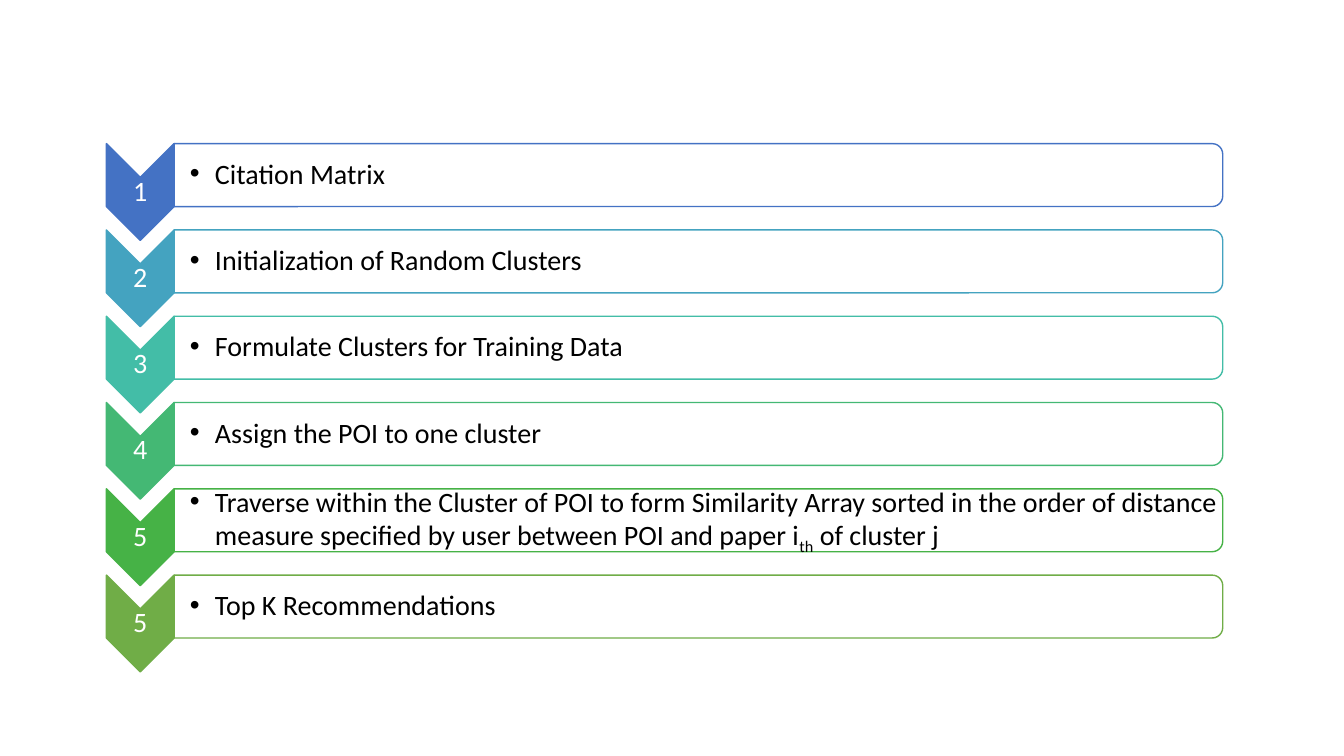
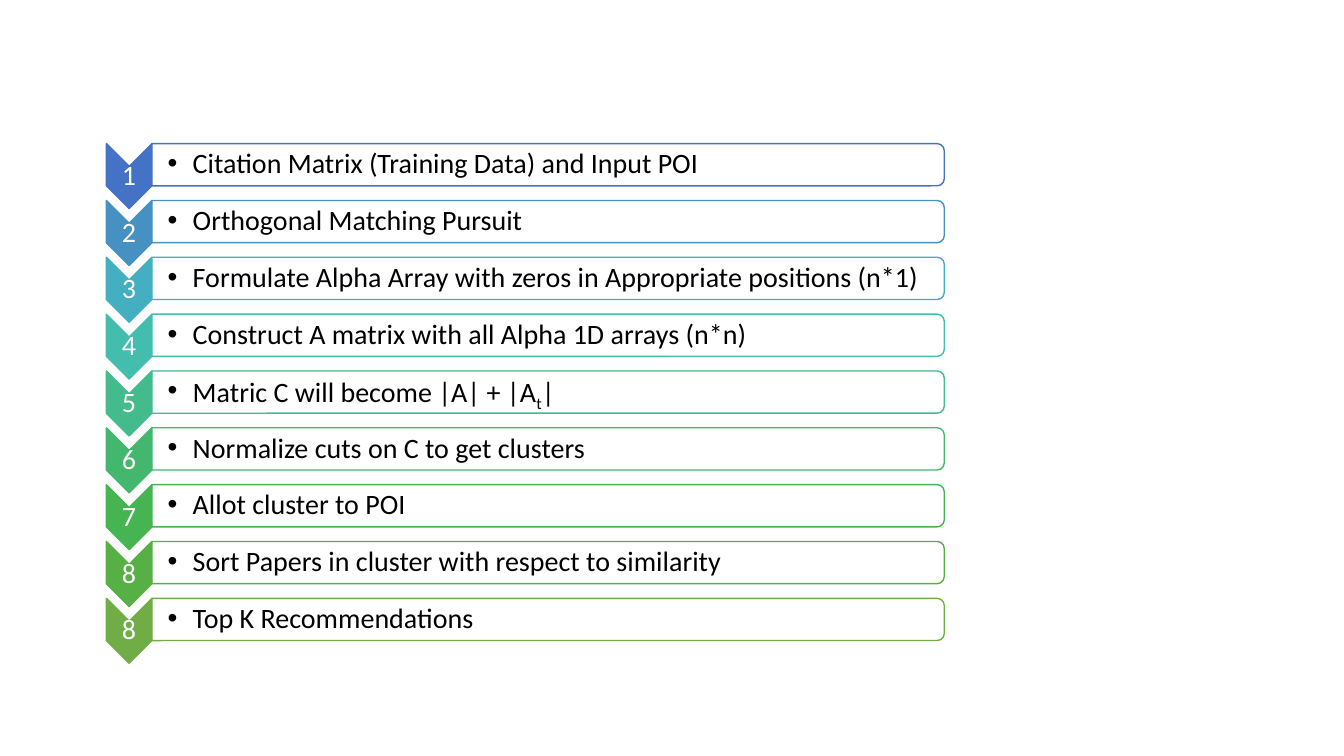
"""Build two slides of numbered chevron steps."""
import pptx
import pptx.util
import pptx.dml.color
import pptx.enum.shapes
import pptx.enum.text
import pptx.oxml
import pptx.oxml.ns

Pt = pptx.util.Pt
RGB = pptx.dml.color.RGBColor
SHAPE = pptx.enum.shapes.MSO_SHAPE
ALIGN = pptx.enum.text.PP_ALIGN

WHITE = RGB(0xFF, 0xFF, 0xFF)
BLACK = RGB(0x00, 0x00, 0x00)
BLUE = RGB(0x44, 0x72, 0xC4)
GREEN = RGB(0x70, 0xAD, 0x47)
FONT, SIZE = "Calibri", 20
LEFT, TOP = 76, 102.6
CHEVRON_ASPECT, BAR_RATIO, TEXT_RATIO = 0.7, 0.65, 0.9
BULLET_INDENT = 18

SLIDES = [
    {"chevron": 69.1, "pitch": 61.64, "bar_width": 749, "steps": [
        ("1", BLUE, ["Citation Matrix"]),
        ("2", RGB(0x44, 0xA3, 0xC0), ["Initialization of Random Clusters"]),
        ("3", RGB(0x43, 0xBD, 0xA7), ["Formulate Clusters for Training Data"]),
        ("4", RGB(0x44, 0xB8, 0x74), ["Assign the POI to one cluster"]),
        ("5", RGB(0x46, 0xB2, 0x46), [
            "Traverse within the Cluster of POI to form Similarity Array sorted in the "
            "order of distance measure specified by user between POI and paper i",
            "th", " of cluster j"]),
        ("5", GREEN, ["Top K Recommendations"]),
    ]},
    {"chevron": 46.4, "pitch": 40.6, "bar_width": 566, "steps": [
        ("1", BLUE, ["Citation Matrix (Training Data) and Input POI"]),
        ("2", RGB(0x44, 0x91, 0xC2), ["Orthogonal Matching Pursuit"]),
        ("3", RGB(0x43, 0xAF, 0xC0),
         ["Formulate Alpha Array with zeros in Appropriate positions (n*1)"]),
        ("4", RGB(0x43, 0xBD, 0xAE), ["Construct A matrix with all Alpha 1D arrays (n*n)"]),
        ("5", RGB(0x43, 0xBB, 0x8D), ["Matric C will become |A| + |A", "t", "|"]),
        ("6", RGB(0x44, 0xB7, 0x6E), ["Normalize cuts on C to get clusters"]),
        ("7", RGB(0x45, 0xB4, 0x51), ["Allot cluster to POI"]),
        ("8", RGB(0x56, 0xB0, 0x46), ["Sort Papers in cluster with respect to similarity"]),
        ("8", GREEN, ["Top K Recommendations"]),
    ]},
]


def add_turned(s, kind, x, y, w, h, fill, line):
    sp = s.shapes.add_shape(kind, Pt(x + (w - h) / 2), Pt(y + (h - w) / 2), Pt(h), Pt(w))
    sp.rotation = 90
    sp.shadow.inherit = False
    sp.fill.solid()
    sp.fill.fore_color.rgb = fill
    sp.line.color.rgb = line
    sp.line.width = Pt(1)
    return sp


def add_text(s, x, y, w, h, parts, color, inset=1):
    tf = s.shapes.add_textbox(Pt(x), Pt(y), Pt(w), Pt(h)).text_frame
    tf.word_wrap = True
    tf.vertical_anchor = pptx.enum.text.MSO_ANCHOR.MIDDLE
    tf.margin_left = Pt(inset)
    tf.margin_right = tf.margin_top = tf.margin_bottom = Pt(1)
    p = tf.paragraphs[0]
    p.line_spacing = 0.9
    for i, part in enumerate(parts):
        r = p.add_run()
        r.text = part
        r.font.name = FONT
        r.font.size = Pt(SIZE)
        r.font.color.rgb = color
        if i % 2:
            r.font._element.set("baseline", "-25000")
    return p


def add_bullet(p):
    pPr = p._p.get_or_add_pPr()
    pPr.set("marL", str(Pt(BULLET_INDENT)))
    pPr.set("indent", str(-Pt(BULLET_INDENT)))
    ns = pptx.oxml.ns.nsdecls("a")
    pPr.append(pptx.oxml.parse_xml(f'<a:buFont {ns} typeface="Arial"/>'))
    pPr.append(pptx.oxml.parse_xml(f'<a:buChar {ns} char="•"/>'))


def set_alpha(sp, percent):
    color = sp._element.spPr.find(".//" + pptx.oxml.ns.qn("a:srgbClr"))
    ns = pptx.oxml.ns.nsdecls("a")
    color.append(pptx.oxml.parse_xml(f'<a:alpha {ns} val="{percent * 1000}"/>'))


def add_step(s, y, chevron_h, bar_w, number, color, parts):
    chevron_w = chevron_h * CHEVRON_ASPECT
    bar_x, bar_h = LEFT + chevron_w, chevron_h * BAR_RATIO
    text_h = bar_h * TEXT_RATIO
    add_turned(s, SHAPE.CHEVRON, LEFT, y, chevron_w, chevron_h, color, color)
    p = add_text(s, LEFT, y + chevron_w / 2, chevron_w, chevron_h - chevron_w,
                 [number], WHITE)
    p.alignment = ALIGN.CENTER
    bar = add_turned(s, SHAPE.ROUND_2_SAME_RECTANGLE, bar_x, y, bar_w, bar_h, WHITE, color)
    set_alpha(bar, 90)
    p = add_text(s, bar_x, y + (bar_h - text_h) / 2, bar_w - 2, text_h, parts, BLACK, 11.2)
    add_bullet(p)


def main():
    prs = pptx.Presentation()
    prs.slide_width, prs.slide_height = Pt(960), Pt(540)
    for slide in SLIDES:
        s = prs.slides.add_slide(prs.slide_layouts[6])
        for i, step in enumerate(slide["steps"]):
            add_step(s, TOP + i * slide["pitch"], slide["chevron"], slide["bar_width"], *step)
    prs.save("out.pptx")


if __name__ == "__main__":
    main()
